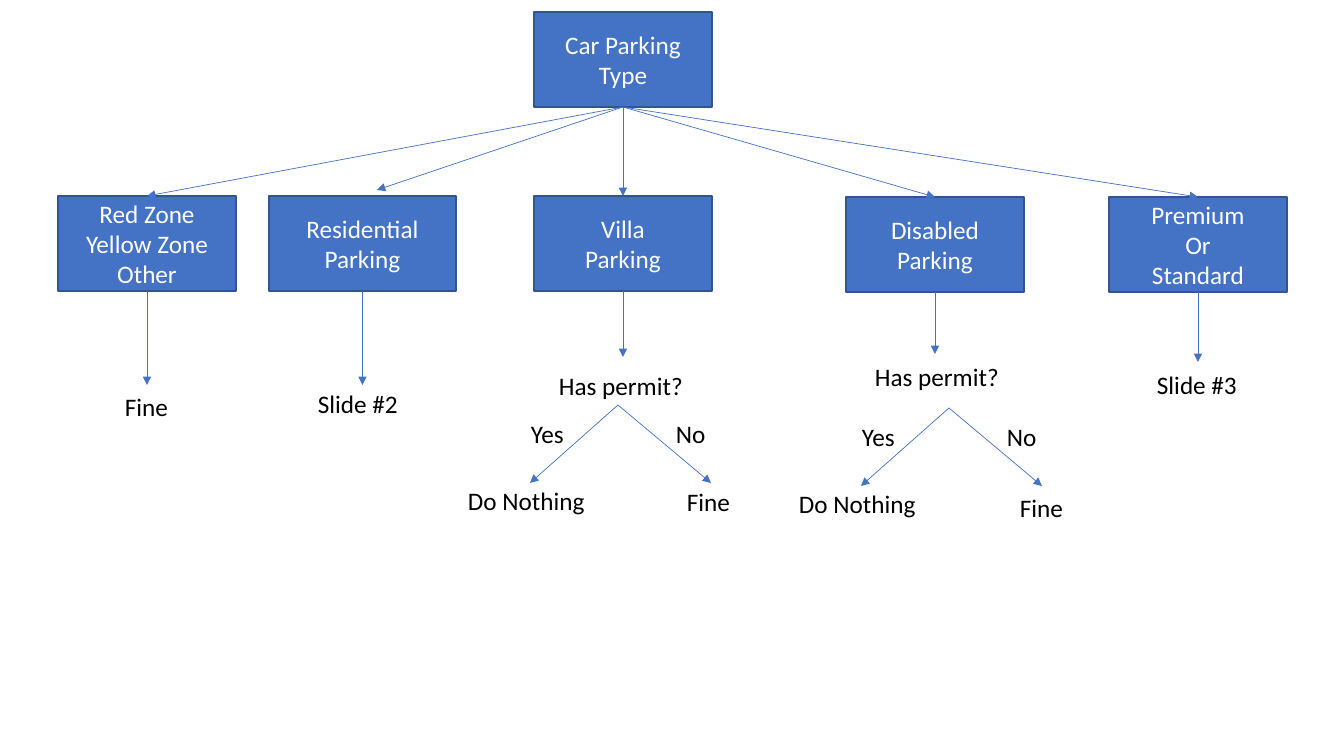
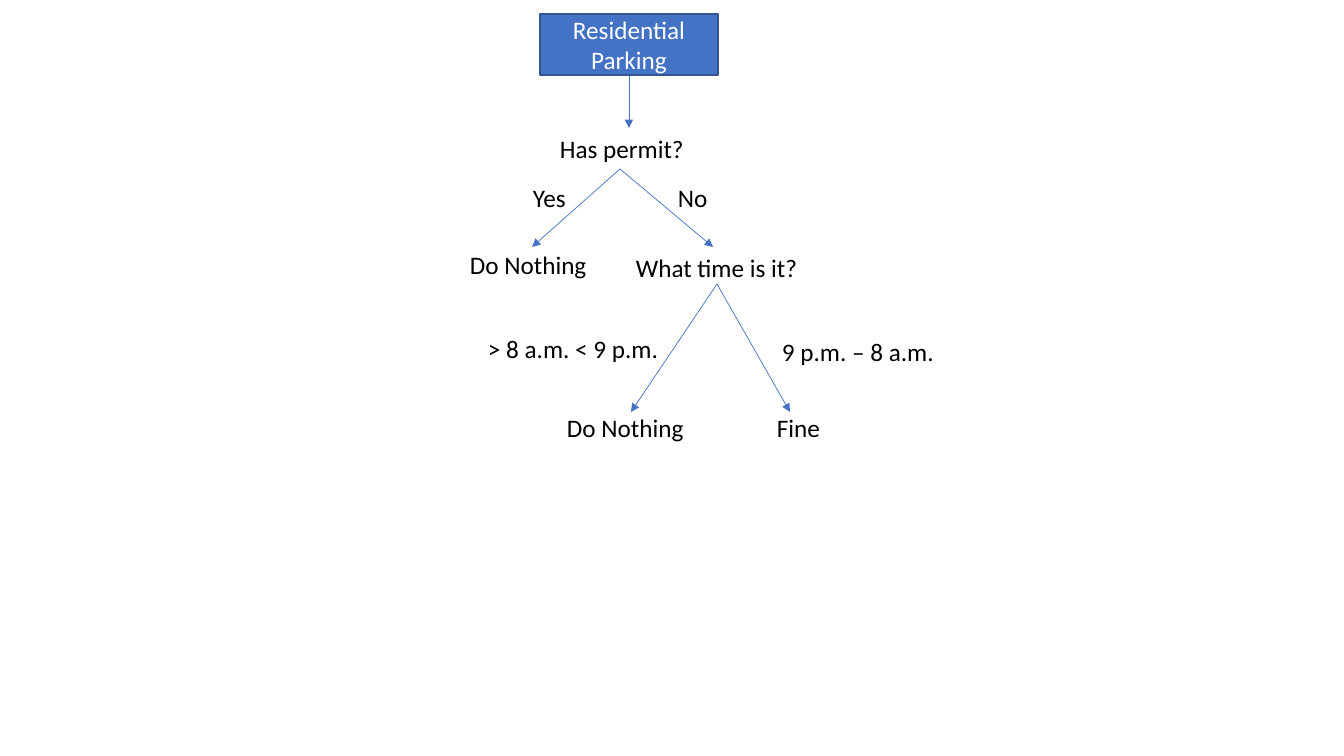
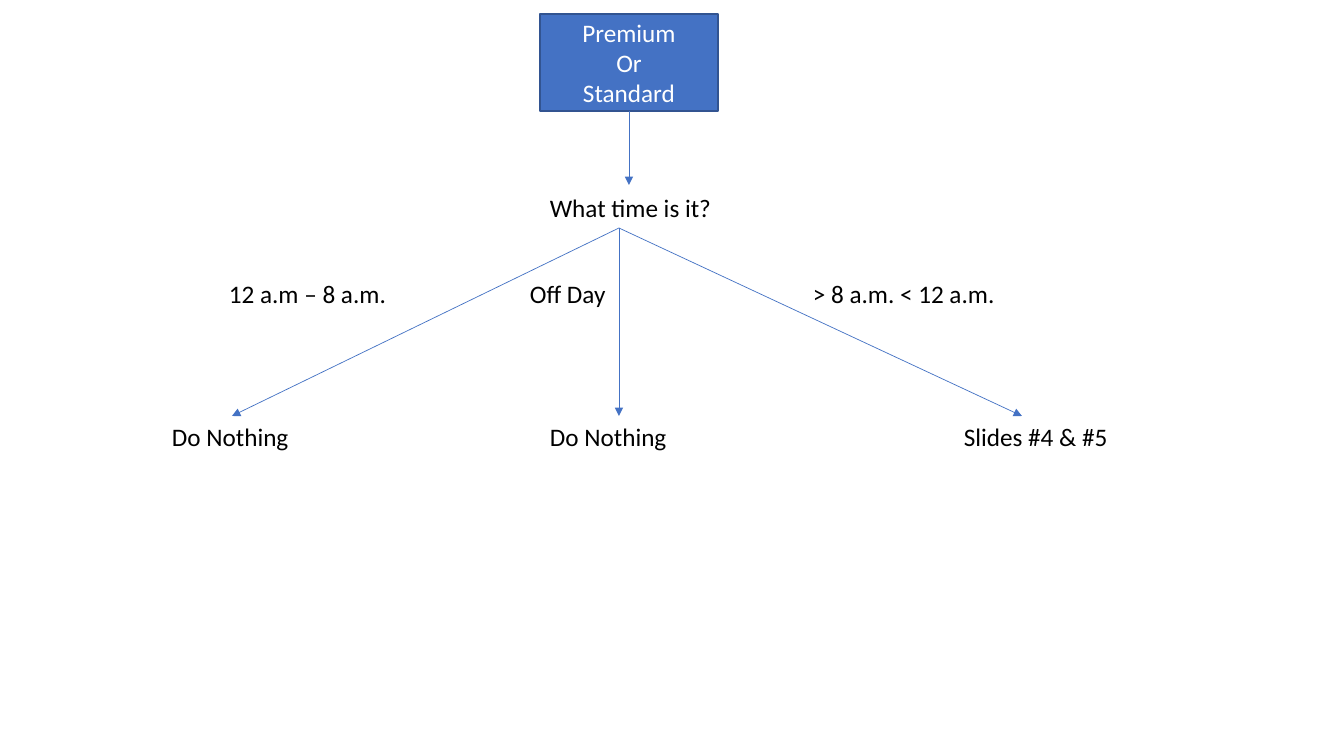
from dataclasses import dataclass

from lxml.etree import SubElement
from pptx import Presentation
from pptx.dml.color import RGBColor
from pptx.enum.shapes import MSO_CONNECTOR, MSO_SHAPE
from pptx.enum.text import MSO_ANCHOR, MSO_AUTO_SIZE, PP_ALIGN
from pptx.oxml.ns import qn
from pptx.util import Pt

SCALE = 914400 / 100.8
BOTTOM, TOP = 2, 0


def px(n):
    return round(n * SCALE)


@dataclass(frozen=True)
class Theme:
    fill: RGBColor = RGBColor(0x44, 0x72, 0xC4)
    border: RGBColor = RGBColor(0x32, 0x54, 0x91)
    light: RGBColor = RGBColor(0xFF, 0xFF, 0xFF)
    dark: RGBColor = RGBColor(0, 0, 0)
    font: str = "Calibri"
    size: int = 18
    border_width: float = 1
    arrow_width: float = 0.5
    label_height: int = 40


class Flow:
    def __init__(self, prs, theme):
        self.prs = prs
        self.theme = theme
        self.s = None

    def new_slide(self):
        self.s = self.prs.slides.add_slide(self.prs.slide_layouts[6])

    def add_lines(self, tf, lines, color, align):
        for i, line in enumerate(lines):
            p = tf.paragraphs[0] if i == 0 else tf.add_paragraph()
            p.alignment = align
            r = p.add_run()
            r.text = line
            r.font.name = self.theme.font
            r.font.size = Pt(self.theme.size)
            r.font.color.rgb = color

    def box(self, x, y, w, h, *lines):
        t = self.theme
        sp = self.s.shapes.add_shape(MSO_SHAPE.RECTANGLE, px(x), px(y), px(w), px(h))
        sp.shadow.inherit = False
        sp.fill.solid()
        sp.fill.fore_color.rgb = t.fill
        sp.line.color.rgb = t.border
        sp.line.width = Pt(t.border_width)
        tf = sp.text_frame
        tf.word_wrap = True
        tf.vertical_anchor = MSO_ANCHOR.MIDDLE
        self.add_lines(tf, lines, t.light, PP_ALIGN.CENTER)
        return sp

    def label(self, x, y, w, text, wrap=False):
        t = self.theme
        sp = self.s.shapes.add_textbox(px(x), px(y), px(w), px(t.label_height))
        tf = sp.text_frame
        tf.word_wrap = wrap
        tf.auto_size = MSO_AUTO_SIZE.SHAPE_TO_FIT_TEXT
        self.add_lines(tf, [text], t.dark, PP_ALIGN.LEFT)

    def arrow(self, x1, y1, x2, y2, source=None, target=None):
        t = self.theme
        c = self.s.shapes.add_connector(
            MSO_CONNECTOR.STRAIGHT, px(x1), px(y1), px(x2), px(y2))
        if source is not None:
            c.begin_connect(source, BOTTOM)
        if target is not None:
            c.end_connect(target, TOP)
        c.line.color.rgb = t.fill
        c.line.width = Pt(t.arrow_width)
        props = c._element.spPr
        SubElement(props.get_or_add_ln(), qn("a:tailEnd"), type="triangle")
        SubElement(props, qn("a:effectLst"))

    def do_nothing(self, x, y):
        self.label(x, y, 138, "Do Nothing")

    def fine(self, x, y):
        self.label(x, y, 64, "Fine")

    def permit_check(self, x, y, question_x, question_y):
        self.label(question_x, question_y, 178, "Has permit?", wrap=True)
        self.arrow(x, y, x - 88, y + 78)
        self.arrow(x, y, x + 93, y + 78)
        self.label(x - 97, y + 8, 53, "Yes")
        self.label(x + 48, y + 8, 50, "No")
        self.do_nothing(x - 160, y + 75)


def parking_types(f):
    f.new_slide()
    root = f.box(534, 12, 178, 95, "Car Parking Type")
    kinds = [
        (58, 196, 178, 385, ("Red Zone", "Yellow Zone", "Other")),
        (269, 196, 187, 385, ("Residential", "Parking")),
        (534, 196, 178, 357, ("Villa", "Parking")),
        (846, 197, 178, 354, ("Disabled", "Parking")),
        (1109, 197, 178, 362, ("Premium", "Or", "Standard")),
    ]
    for x, y, w, end_y, lines in kinds:
        kind = f.box(x, y, w, 95, *lines)
        mid = x + w / 2
        if lines[0] == "Residential":
            f.arrow(623, 107, 377, 190, root)
        else:
            f.arrow(623, 107, mid, y, root, kind)
        f.arrow(mid, y + 95, mid, end_y, kind)
    f.fine(115, 386)
    f.label(308, 383, 101, "Slide #2")
    f.permit_check(618, 405, 549, 365)
    f.fine(677, 481)
    f.permit_check(949, 408, 865, 356)
    f.fine(1010, 487)
    f.label(1147, 364, 101, "Slide #3")


def residential(f):
    f.new_slide()
    root = f.box(540, 14, 178, 61, "Residential", "Parking")
    f.arrow(629, 75, 629, 128, root)
    f.permit_check(620, 169, 550, 128)
    f.label(626, 247, 183, "What time is it?")
    f.arrow(717, 284, 631, 412)
    f.arrow(717, 284, 790, 412)
    f.label(478, 328, 193, "> 8 a.m. < 9 p.m.")
    f.label(772, 331, 174, "9 p.m. – 8 a.m.")
    f.do_nothing(557, 407)
    f.fine(767, 407)


def premium(f):
    f.new_slide()
    root = f.box(540, 14, 178, 97, "Premium", "Or", "Standard")
    f.arrow(629, 111, 629, 185, root)
    f.label(540, 187, 185, "What time is it?", wrap=True)
    for end_x in (232, 619, 1022):
        f.arrow(619, 228, end_x, 416)
    f.label(219, 273, 185, "12 a.m – 8 a.m.", wrap=True)
    f.label(520, 273, 97, "Off Day")
    f.label(803, 273, 205, "> 8 a.m. < 12 a.m.")
    f.do_nothing(162, 416)
    f.do_nothing(540, 416)
    f.label(954, 416, 165, "Slides #4 & #5")


prs = Presentation()
prs.slide_width = px(1344)
prs.slide_height = px(756)
flow = Flow(prs, Theme())
for build in (parking_types, residential, premium):
    build(flow)
prs.save("out.pptx")
